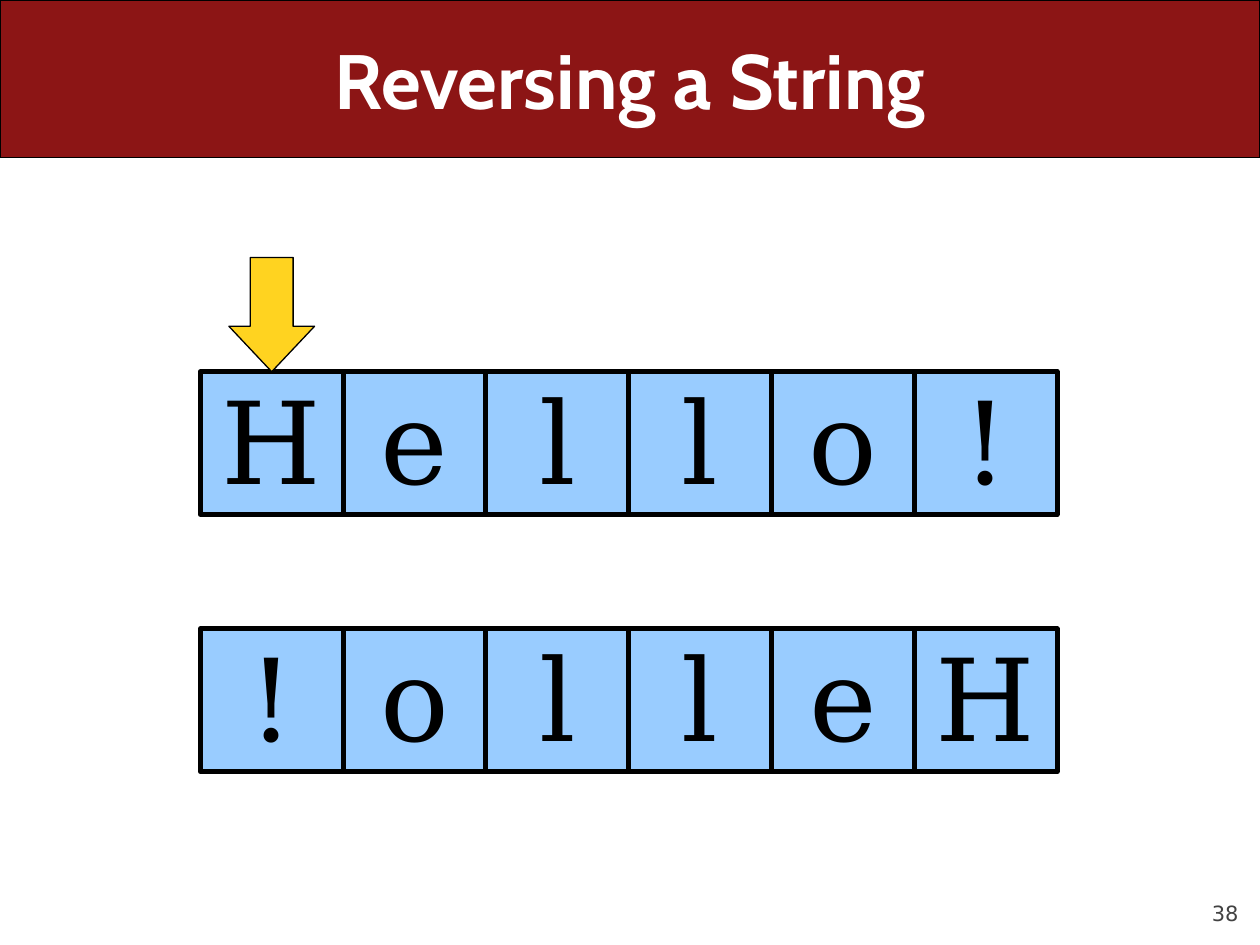
from dataclasses import dataclass

from pptx import Presentation
from pptx.dml.color import RGBColor
from pptx.enum.shapes import MSO_SHAPE
from pptx.enum.text import MSO_ANCHOR, PP_ALIGN
from pptx.util import Inches, Pt

BANNER_RED = RGBColor(0x8C, 0x15, 0x15)
CELL_BLUE = RGBColor(0x99, 0xCC, 0xFF)
ARROW_YELLOW = RGBColor(0xFF, 0xD3, 0x20)
NUMBER_GRAY = RGBColor(0x42, 0x42, 0x42)
BLACK = RGBColor(0, 0, 0)
WHITE = RGBColor(0xFF, 0xFF, 0xFF)

WORD = "Hello!"
GRID_LEFT = 1.59
CELL = 6.8 / len(WORD)
BANNER_HEIGHT = 1.25
ARROW_WIDTH, ARROW_HEIGHT = 0.6 * CELL, 0.8 * CELL


@dataclass(frozen=True)
class LetterRow:
    letters: str
    top: float


ROWS = (LetterRow(WORD, 2.95), LetterRow(WORD[::-1], 4.99))


def place(shape, left: float, top: float, width: float, height: float) -> None:
    shape.left, shape.top = Inches(left), Inches(top)
    shape.width, shape.height = Inches(width), Inches(height)


def add_filled_shape(slide, kind: MSO_SHAPE, box: tuple, fill: RGBColor,
                     line_width: float = 0.75):
    shape = slide.shapes.add_shape(kind, *(Inches(length) for length in box))
    shape.shadow.inherit = False
    shape.fill.solid()
    shape.fill.fore_color.rgb = fill
    shape.line.color.rgb = BLACK
    shape.line.width = Pt(line_width)
    return shape


def add_text(paragraph, text: str, font: str, size: float, color: RGBColor,
             alignment: PP_ALIGN = PP_ALIGN.CENTER, bold: bool = False) -> None:
    paragraph.alignment = alignment
    run = paragraph.add_run()
    run.text = text
    run.font.name = font
    run.font.size = Pt(size)
    run.font.bold = bold
    run.font.color.rgb = color


def set_margins(frame, side: float, top: float, bottom: float) -> None:
    frame.margin_left = frame.margin_right = Inches(side)
    frame.margin_top, frame.margin_bottom = Inches(top), Inches(bottom)


def add_letter_row(slide, row: LetterRow) -> None:
    for column, letter in enumerate(row.letters):
        box = (GRID_LEFT + column * CELL, row.top, CELL, CELL)
        cell = add_filled_shape(slide, MSO_SHAPE.RECTANGLE, box, CELL_BLUE, 2.89)
        frame = cell.text_frame
        frame.word_wrap = False
        frame.vertical_anchor = MSO_ANCHOR.MIDDLE
        set_margins(frame, 0.11, 0.08, 0.06)
        paragraph = frame.paragraphs[0]
        paragraph.line_spacing = 0.98
        add_text(paragraph, letter, "DejaVu Serif", 65.3, BLACK)


def main() -> None:
    presentation = Presentation()
    presentation.slide_width, presentation.slide_height = Inches(10), Inches(7.5)
    slide = presentation.slides.add_slide(presentation.slide_layouts[5])

    # Slide number
    number = slide.shapes.add_textbox(Inches(9), Inches(6.95), Inches(0.83), Inches(0.4))
    frame = number.text_frame
    frame.word_wrap = True
    frame.vertical_anchor = MSO_ANCHOR.BOTTOM
    set_margins(frame, 0, 0, 0)
    frame.paragraphs[0].space_before = Pt(5)
    add_text(frame.paragraphs[0], "38", "DejaVu Sans", 12, NUMBER_GRAY, PP_ALIGN.RIGHT)

    # Banner
    banner = add_filled_shape(slide, MSO_SHAPE.ROUNDED_RECTANGLE,
                              (0, 0, 10, BANNER_HEIGHT), BANNER_RED)
    banner.adjustments[0] = 0

    # Letters of the string and of its reverse
    for row in ROWS:
        add_letter_row(slide, row)

    # Arrow centred over the first letter
    arrow_box = (GRID_LEFT + (CELL - ARROW_WIDTH) / 2, ROWS[0].top - ARROW_HEIGHT,
                 ARROW_WIDTH, ARROW_HEIGHT)
    arrow = add_filled_shape(slide, MSO_SHAPE.DOWN_ARROW, arrow_box, ARROW_YELLOW)
    arrow.adjustments[0], arrow.adjustments[1] = 0.5, 0.53

    # Title, brought in front of the banner
    title = slide.shapes.title
    place(title, 0.5, 0, 9, BANNER_HEIGHT)
    title.text_frame.vertical_anchor = MSO_ANCHOR.MIDDLE
    add_text(title.text_frame.paragraphs[0], "Reversing a String", "Cabin", 44, WHITE,
             bold=True)
    title.element.getparent().append(title.element)

    presentation.save("out.pptx")


if __name__ == "__main__":
    main()
